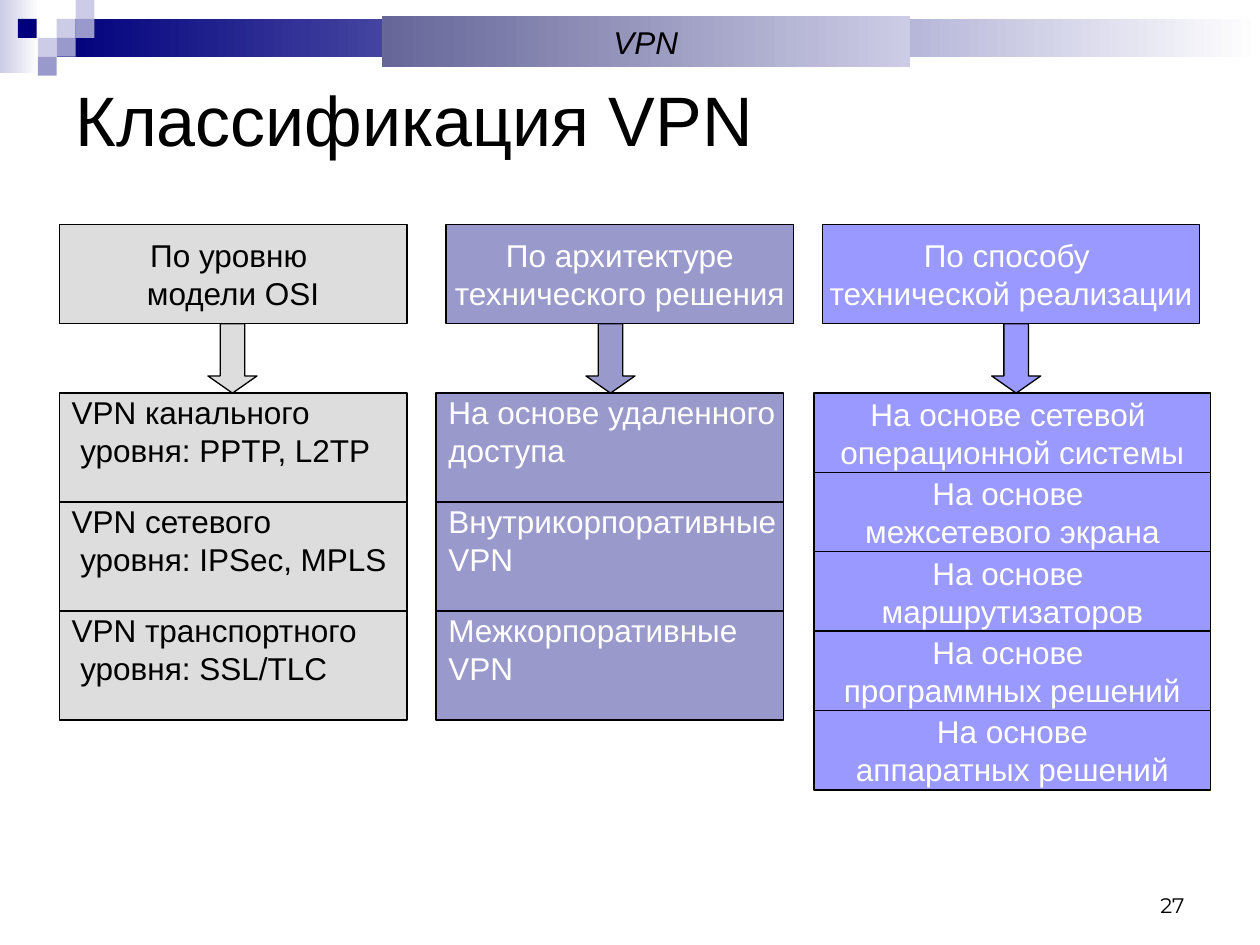
from dataclasses import dataclass
from typing import Optional

from pptx import Presentation
from pptx.dml.color import RGBColor
from pptx.enum.shapes import MSO_SHAPE
from pptx.enum.text import MSO_ANCHOR, PP_ALIGN
from pptx.util import Pt

COLORS = {
    "black": "000000",
    "white": "FFFFFF",
    "navy": "00007D",
    "slate": "666699",
    "lavender": "9999CC",
    "pale": "CCCCE6",
    "gray": "DDDDDD",
    "violet": "9999FF",
}
CELL = 10.8
HEAD_TOP, HEAD_H = 128.16, 56.88
ARROW_W, ARROW_H = 28.08, 39.6
LIST_TOP = HEAD_TOP + HEAD_H + ARROW_H


@dataclass
class Box:
    left: float
    top: float
    width: float
    height: float


@dataclass
class TextStyle:
    size: float = 18
    color: str = "black"
    font: str = "Arial"
    italic: bool = False
    align: PP_ALIGN = PP_ALIGN.CENTER
    anchor: MSO_ANCHOR = MSO_ANCHOR.MIDDLE
    wrap: bool = False
    inset: float = 3.6
    second_indent: float = 0


@dataclass
class Column:
    fill: str
    text: str
    head_left: float
    head_width: float
    head: str
    arrow_left: float
    list_left: float
    list_width: float
    item_height: float
    items: list[str]
    centered: bool = False
    second_indent: float = 0


COLUMNS = [
    Column("gray", "black", 33.84, 198.72, "По уровню \nмодели OSI", 118.8,
           33.84, 198.72, 62.3,
           ["VPN канального\nуровня: PPTP, L2TP",
            "VPN сетевого\nуровня: IPSec, MPLS",
            "VPN транспортного\nуровня: SSL/TLC"], second_indent=5),
    Column("lavender", "white", 254.88, 198.72,
           "По архитектуре\nтехнического решения", 334.8,
           249.12, 198.72, 62.3,
           ["На основе удаленного\nдоступа",
            "Внутрикорпоративные\nVPN",
            "Межкорпоративные\nVPN"]),
    Column("violet", "white", 470.16, 215.28,
           "По способу \nтехнической реализации", 566.64,
           465.12, 226.8, 45.36,
           ["На основе сетевой \nоперационной системы",
            "На основе \nмежсетевого экрана",
            "На основе \nмаршрутизаторов",
            "На основе \nпрограммных решений",
            "На основе\nаппаратных решений"], centered=True),
]
MOSAIC = [
    ("pale", 32.4, 10.8), ("pale", 43.2, 0), ("lavender", 43.2, 10.8),
    ("pale", 21.6, 21.6), ("navy", 10.2, 10.8), ("lavender", 32.4, 21.6),
    ("lavender", 21.6, 32.4),
]


def rgb(name: str) -> RGBColor:
    return RGBColor.from_string(COLORS[name])


def write(sp, text: str, style: TextStyle) -> None:
    tf = sp.text_frame
    tf.text = text
    tf.word_wrap = style.wrap
    tf.vertical_anchor = style.anchor
    tf.margin_left = tf.margin_right = Pt(7.2)
    tf.margin_top = tf.margin_bottom = Pt(style.inset)
    for i, p in enumerate(tf.paragraphs):
        p.alignment = style.align
        if i and style.second_indent:
            p._p.get_or_add_pPr().set("marL", str(Pt(style.second_indent)))
        for r in p.runs:
            r.font.size = Pt(style.size)
            r.font.name = style.font
            r.font.italic = style.italic
            r.font.color.rgb = rgb(style.color)


def add_block(s, box: Box, fill: str, fade_to: Optional[str] = None,
              outlined: bool = False, shape: MSO_SHAPE = MSO_SHAPE.RECTANGLE):
    sp = s.shapes.add_shape(shape, Pt(box.left), Pt(box.top),
                            Pt(box.width), Pt(box.height))
    sp.shadow.inherit = False
    if fade_to:
        sp.fill.gradient()
        sp.fill.gradient_angle = 0
        for stop, name, position in zip(sp.fill.gradient_stops, (fill, fade_to), (0, 1)):
            stop.color.rgb = rgb(name)
            stop.position = position
    else:
        sp.fill.solid()
        sp.fill.fore_color.rgb = rgb(fill)
    if outlined:
        sp.line.color.rgb = rgb("black")
        sp.line.width = Pt(0.75)
    else:
        sp.line.fill.background()
    return sp


def add_label(s, box: Box, text: str, style: TextStyle) -> None:
    sp = s.shapes.add_textbox(Pt(box.left), Pt(box.top), Pt(box.width), Pt(box.height))
    write(sp, text, style)


def add_column(s, col: Column) -> None:
    head = add_block(s, Box(col.head_left, HEAD_TOP, col.head_width, HEAD_H),
                     col.fill, outlined=True)
    write(head, col.head, TextStyle(color=col.text))
    if col.centered:
        style = TextStyle(color=col.text)
    else:
        style = TextStyle(color=col.text, align=PP_ALIGN.LEFT, anchor=MSO_ANCHOR.TOP,
                          inset=0, second_indent=col.second_indent)
    for i, item in enumerate(col.items):
        box = Box(col.list_left, LIST_TOP + i * col.item_height,
                  col.list_width, col.item_height)
        write(add_block(s, box, col.fill, outlined=True), item, style)
    arrow = add_block(s, Box(col.arrow_left, HEAD_TOP + HEAD_H, ARROW_W, ARROW_H),
                      col.fill, outlined=True, shape=MSO_SHAPE.DOWN_ARROW)
    arrow.adjustments[0] = 0.5
    arrow.adjustments[1] = 0.35


def main() -> None:
    prs = Presentation()
    prs.slide_width, prs.slide_height = Pt(720), Pt(540)
    s = prs.slides.add_slide(prs.slide_layouts[6])
    add_block(s, Box(0, 0, 22.32, 41.76), "pale", fade_to="white")
    add_block(s, Box(32.4, 10.8, 687.6, 21.6), "navy", fade_to="white")
    for fill, left, top in MOSAIC:
        add_block(s, Box(left, top, CELL, CELL), fill)
    add_label(s, Box(36, 36, 648, 64), "Классификация VPN",
              TextStyle(size=40, align=PP_ALIGN.LEFT, wrap=True))
    for col in COLUMNS:
        add_column(s, col)
    banner = add_block(s, Box(218.16, 9.36, 301.68, 28.8), "slate", fade_to="pale")
    write(banner, "VPN", TextStyle(italic=True, anchor=MSO_ANCHOR.TOP, wrap=True))
    add_label(s, Box(638, 491.76, 46, 36), "27",
              TextStyle(size=12, font="Montserrat", align=PP_ALIGN.RIGHT,
                        anchor=MSO_ANCHOR.BOTTOM, wrap=True))
    prs.save("out.pptx")


if __name__ == "__main__":
    main()
